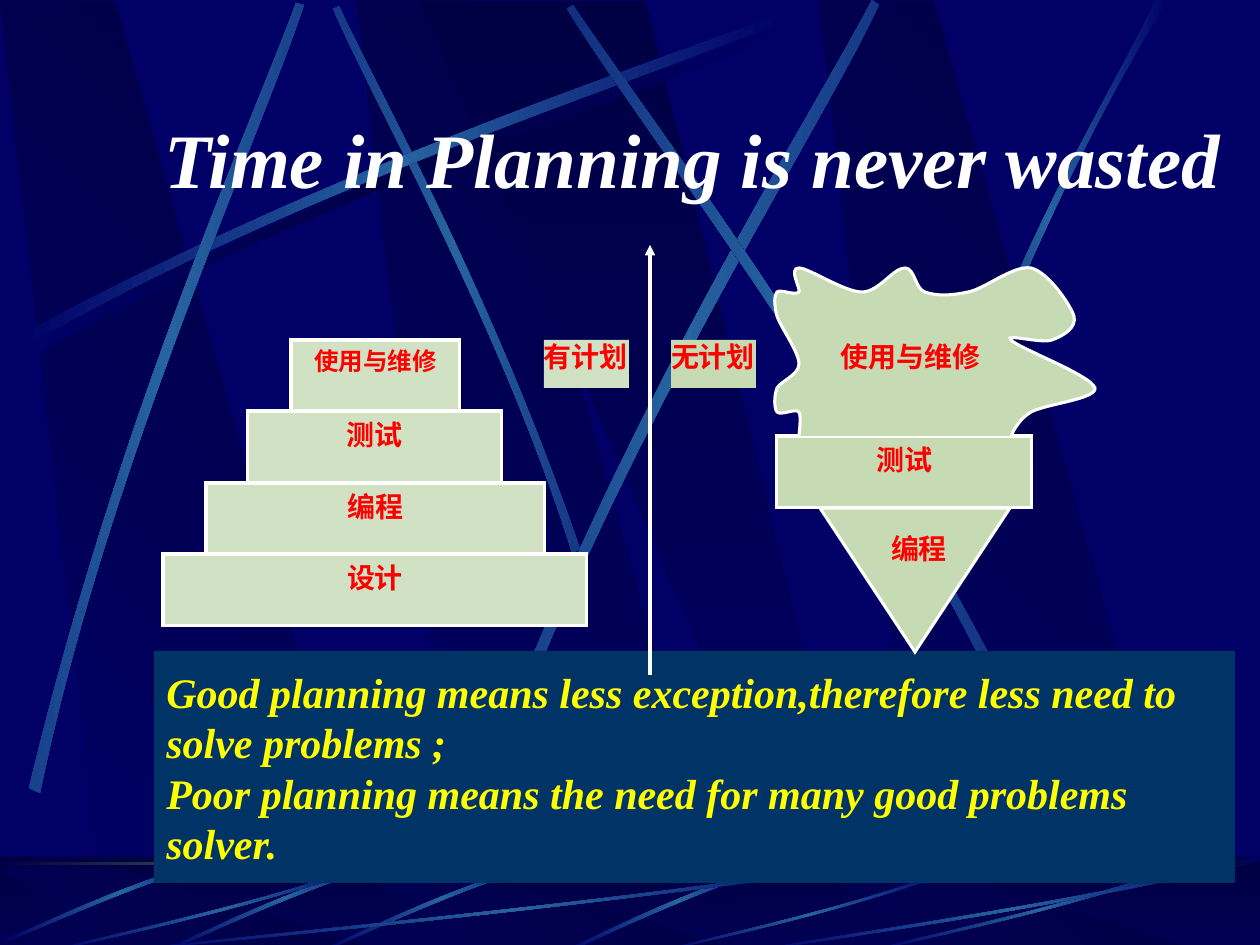
from copy import deepcopy
from dataclasses import dataclass
from math import cos, radians, sin

from lxml.etree import SubElement
from pptx import Presentation
from pptx.dml.color import RGBColor
from pptx.enum.shapes import MSO_CONNECTOR as Connector, MSO_SHAPE as Preset
from pptx.enum.text import MSO_ANCHOR as Anchor, MSO_AUTO_SIZE as AutoSize, PP_ALIGN as Align
from pptx.oxml.ns import qn
from pptx.util import Pt

EMU_PER_PX = 914400 / 126
WIDTH, HEIGHT = 1260, 945
FONT = "Times New Roman"
COLORS = {
    "night": "000066", "shade": "000044", "beam": "2663A0", "horizon": "9CE157",
    "panel": "003366", "planned": "D1E1C3", "unplanned": "C6DAB4",
    "white": "FFFFFF", "label": "FF0000", "summary": "FFFF00",
}
FADE = ("shade", "night")
SHADOW = ("night", "shade", "night")
GLOW = ("night", "beam", "night")

Point = tuple[float, float]


@dataclass
class Ray:
    points: list[Point]
    rotation: float = 0
    tones: tuple[str, ...] = GLOW


@dataclass
class Block:
    text: str
    left: int
    top: int
    width: int
    height: int
    fill: str
    size: int = 16
    outlined: bool = True
    align: Align = Align.CENTER


def px(length: float) -> int:
    return round(length * EMU_PER_PX)


def rgb(name: str) -> RGBColor:
    return RGBColor.from_string(COLORS[name])


def shift(points: list[Point], dx: int, dy: int) -> list[Point]:
    return [(x + dx, y + dy) for x, y in points]


def turn(points: list[Point], degrees: float) -> list[Point]:
    c, s = cos(radians(degrees)), sin(radians(degrees))
    return [(x * c - y * s, x * s + y * c) for x, y in points]


def middle(points: list[Point]) -> Point:
    xs, ys = zip(*points)
    return (min(xs) + max(xs)) / 2, (min(ys) + max(ys)) / 2


def paint(shape, fill: str, outlined: bool = False) -> None:
    shape.shadow.inherit = False
    shape.fill.solid()
    shape.fill.fore_color.rgb = rgb(fill)
    if outlined:
        shape.line.color.rgb = rgb("white")
        shape.line.width = Pt(1.75)
        SubElement(shape.element.spPr.find(qn("a:ln")), qn("a:miter"), lim="800000")
    else:
        shape.line.fill.background()


def blend(shape, tones: tuple[str, ...], angle: int) -> None:
    shape.shadow.inherit = False
    shape.line.fill.background()
    shape.fill.gradient()
    shape.fill.gradient_angle = (360 - angle) % 360
    shape.element.spPr.find(qn("a:gradFill")).set("rotWithShape", "0")
    if len(tones) == 3:
        first = shape.element.spPr.find(".//" + qn("a:gs"))
        first.addnext(deepcopy(first))
    for i, (stop, tone) in enumerate(zip(shape.fill.gradient_stops, tones)):
        stop.position = i / (len(tones) - 1)
        stop.color.rgb = rgb(tone)


def add_outline(shapes, points: list[Point], closed: bool = True):
    scaled = [(px(x), px(y)) for x, y in points]
    builder = shapes.build_freeform(*scaled[0], scale=1.0)
    builder.add_line_segments(scaled[1:], close=closed)
    return builder.convert_to_shape()


def bend(shape, *starts: int) -> None:
    segments = list(shape.element.iter(qn("a:lnTo")))
    for start in starts:
        curve, second, third = segments[start:start + 3]
        curve.tag = qn("a:cubicBezTo")
        for control in (second, third):
            curve.append(control[0])
            control.getparent().remove(control)


def add_preset(shapes, preset: Preset, left: int, top: int, width: int, height: int):
    return shapes.add_shape(preset, px(left), px(top), px(width), px(height))


def add_ray(shapes, ray: Ray) -> None:
    level = turn(ray.points, -ray.rotation)
    center = middle(level)
    placed = turn([center], ray.rotation)[0]
    shape = add_outline(shapes, [(x + placed[0] - center[0], y + placed[1] - center[1])
                                 for x, y in level])
    bend(shape, 0, 4)
    shape.rotation = ray.rotation
    blend(shape, ray.tones, 180)


def add_shards(shapes, top: int, bottom: int) -> None:
    for left in (357, 0, 819):
        shard = [(left + 108, bottom), (left + 381, bottom), (left + 115, top), (left, top)]
        blend(add_outline(shapes, shard), FADE, 135)
    blend(add_outline(shapes, [(420, top), (829, bottom), (874, bottom), (646, top)]), FADE, 90)


def sweep(left: int, width: int, top: int = 857) -> Ray:
    profile = [(777, 4), (440, 54), (134, 80), (4, 94), (0, 93), (129, 77), (479, 48), (774, 0)]
    return Ray([(left + width * x / 777, top + (951 - top) * y / 94) for x, y in profile])


def style(frame, size: int, color: str, align: Align, italic: bool = False) -> None:
    frame.word_wrap = True
    for paragraph in frame.paragraphs:
        paragraph.alignment = align
        for run in paragraph.runs:
            run.font.name = FONT
            run.font.size = Pt(size)
            run.font.bold = True
            run.font.italic = italic
            run.font.color.rgb = rgb(color)


def add_block(shapes, block: Block) -> None:
    shape = add_preset(shapes, Preset.RECTANGLE, block.left, block.top, block.width, block.height)
    paint(shape, block.fill, block.outlined)
    frame = shape.text_frame
    frame.text = block.text
    frame.vertical_anchor = Anchor.TOP
    if not block.outlined:
        frame.margin_left = frame.margin_right = frame.margin_top = frame.margin_bottom = 0
    style(frame, block.size, "label", block.align)


def add_backdrop(slide) -> None:
    layout = slide.slide_layout
    layout.background.fill.solid()
    layout.background.fill.fore_color.rgb = rgb("night")
    for placeholder in list(layout.placeholders)[1:]:
        placeholder.element.getparent().remove(placeholder.element)
    scenery = slide.shapes.add_group_shape()
    shapes = scenery.shapes
    arc = [(18, 336), (350, 158), (653, 64), (781, 13), (785, 20), (658, 77), (312, 180), (21, 349)]
    add_shards(shapes, 1, 947)
    for ray in (
        Ray(shift(arc, 8, 10), tones=SHADOW),
        Ray([(580, 549), (493, 295), (381, 97), (339, 6), (333, 9), (372, 100), (501, 325), (572, 553)], 45),
        Ray(arc),
        Ray([(29, 788), (117, 421), (248, 132), (296, 3), (304, 5), (261, 136), (108, 464), (40, 793)], 311.7),
        Ray([(485, 774), (627, 403), (804, 129), (872, 0), (879, 5), (818, 136), (612, 447), (496, 782)], 321.6),
        Ray([(1016, 706), (844, 369), (650, 120), (573, 5), (567, 9), (639, 127), (863, 410), (1007, 713)], 34.8),
        Ray([(930, 495), (1026, 218), (1119, 83), (1155, 0), (1168, 0), (1053, 183), (969, 406), (937, 500)]),
    ):
        add_ray(shapes, ray)

    blend(add_preset(shapes, Preset.RECTANGLE, 0, 857, WIDTH, 94), FADE, 90)
    add_shards(shapes, 867, 951)
    veil = add_preset(shapes, Preset.RECTANGLE, 0, 856, WIDTH, 94)
    paint(veil, "shade")
    SubElement(veil.element.spPr.find(".//" + qn("a:srgbClr")), qn("a:alpha"), val="50000")

    streak = [(557, 857), (447, 888), (362, 932), (323, 949), (324, 951), (363, 936), (460, 886), (559, 861)]
    for ray in (
        Ray([(790, 859), (677, 893), (601, 935), (564, 950), (571, 951), (617, 929), (719, 882), (791, 863)]),
        Ray(streak, 314.9),
        Ray(shift(streak, -157, 0), 314.9),
        Ray([(234, 853), (125, 882), (42, 925), (3, 940), (4, 942), (43, 929), (139, 880), (237, 857)], 314.9),
        sweep(126, 777), sweep(53, 336), sweep(664, 291, 868), sweep(872, 336), sweep(756, 504),
    ):
        add_ray(shapes, ray)
    blend(add_preset(shapes, Preset.RECTANGLE, 0, 862, WIDTH, 3), ("shade", "horizon", "shade"), 180)
    layout.shapes.title.element.addprevious(scenery.element) if hasattr(layout.shapes, "title") else \
        layout.placeholders[0].element.addprevious(scenery.element)


def add_summary(slide) -> None:
    panel = add_preset(slide.shapes, Preset.RECTANGLE, 154, 651, 1081, 232)
    paint(panel, "panel")
    panel.text_frame.text = ("Good planning means less exception,therefore less need to solve problems ;\n"
                             "Poor planning means the need for many good problems solver.")
    panel.text_frame.vertical_anchor = Anchor.MIDDLE
    style(panel.text_frame, 24, "summary", Align.LEFT, italic=True)


def add_divider(slide) -> None:
    divider = slide.shapes.add_connector(Connector.STRAIGHT, px(650), px(675), px(650), px(245))
    divider.line.color.rgb = rgb("white")
    divider.line.width = Pt(1.75)
    SubElement(divider.element.spPr.find(qn("a:ln")), qn("a:tailEnd"), type="triangle")
    SubElement(divider.element.spPr, qn("a:effectLst"))


def add_planned(slide) -> None:
    shapes = slide.shapes.add_group_shape().shapes
    for i, stage in enumerate(("使用与维修", "测试", "编程", "设计")):
        width = 169 + 85 * i
        add_block(shapes, Block(stage, 375 - width // 2, 340 + 143 * i // 2, width, 72,
                                "planned", 16 if i else 14))
    add_block(shapes, Block("有计划", 544, 340, 85, 48, "planned", outlined=False, align=Align.JUSTIFY))


def add_unplanned(slide) -> None:
    shapes = slide.shapes.add_group_shape().shapes
    add_block(shapes, Block("测试", 777, 436, 255, 72, "unplanned"))
    tip = add_preset(shapes, Preset.ISOSCELES_TRIANGLE, 820, 508, 190, 144)
    tip.rotation = 180
    paint(tip, "unplanned", outlined=True)
    sprawl = [
        (799, 436), (800, 426), (801, 416), (799, 412), (795, 408), (781, 416), (777, 412),
        (774, 408), (774, 396), (777, 388), (781, 381), (799, 375), (799, 364),
        (799, 352), (781, 328), (777, 316), (774, 304), (774, 296), (777, 292),
        (781, 289), (795, 296), (799, 292), (801, 289), (788, 268), (799, 268),
        (809, 268), (844, 292), (862, 292), (879, 292), (893, 268), (905, 268),
        (915, 268), (915, 289), (925, 292), (936, 296), (950, 296), (968, 292),
        (985, 289), (1013, 265), (1031, 268), (1048, 272), (1070, 304), (1074, 316),
        (1077, 328), (1063, 336), (1052, 340), (1042, 344), (1003, 333), (1011, 340),
        (1018, 348), (1091, 375), (1095, 388), (1097, 399), (1046, 404), (1031, 412),
        (1018, 420), (1013, 432), (1011, 436),
    ]
    cloud = add_outline(shapes, sprawl, closed=False)
    bend(cloud, *range(0, len(sprawl) - 1, 3))
    paint(cloud, "unplanned", outlined=True)
    add_block(shapes, Block("编程", 883, 532, 72, 47, "unplanned", outlined=False))
    for text, left, width in (("使用与维修", 841, 149), ("无计划", 671, 85)):
        add_block(shapes, Block(text, left, 340, width, 48, "unplanned", outlined=False, align=Align.JUSTIFY))


def add_title(slide) -> None:
    title = slide.shapes.title
    title.left, title.top, title.width, title.height = px(126), px(116), px(1134), px(84)
    title.text_frame.text = "Time in Planning is never wasted"
    title.text_frame.auto_size = AutoSize.NONE
    title.text_frame.vertical_anchor = Anchor.MIDDLE
    style(title.text_frame, 44, "white", Align.CENTER, italic=True)
    title.element.getparent().append(title.element)


def main() -> None:
    deck = Presentation()
    deck.slide_width, deck.slide_height = px(WIDTH), px(HEIGHT)
    slide = deck.slides.add_slide(deck.slide_layouts[5])
    for add_part in (add_backdrop, add_summary, add_divider, add_planned, add_unplanned, add_title):
        add_part(slide)
    deck.save("out.pptx")


if __name__ == "__main__":
    main()
